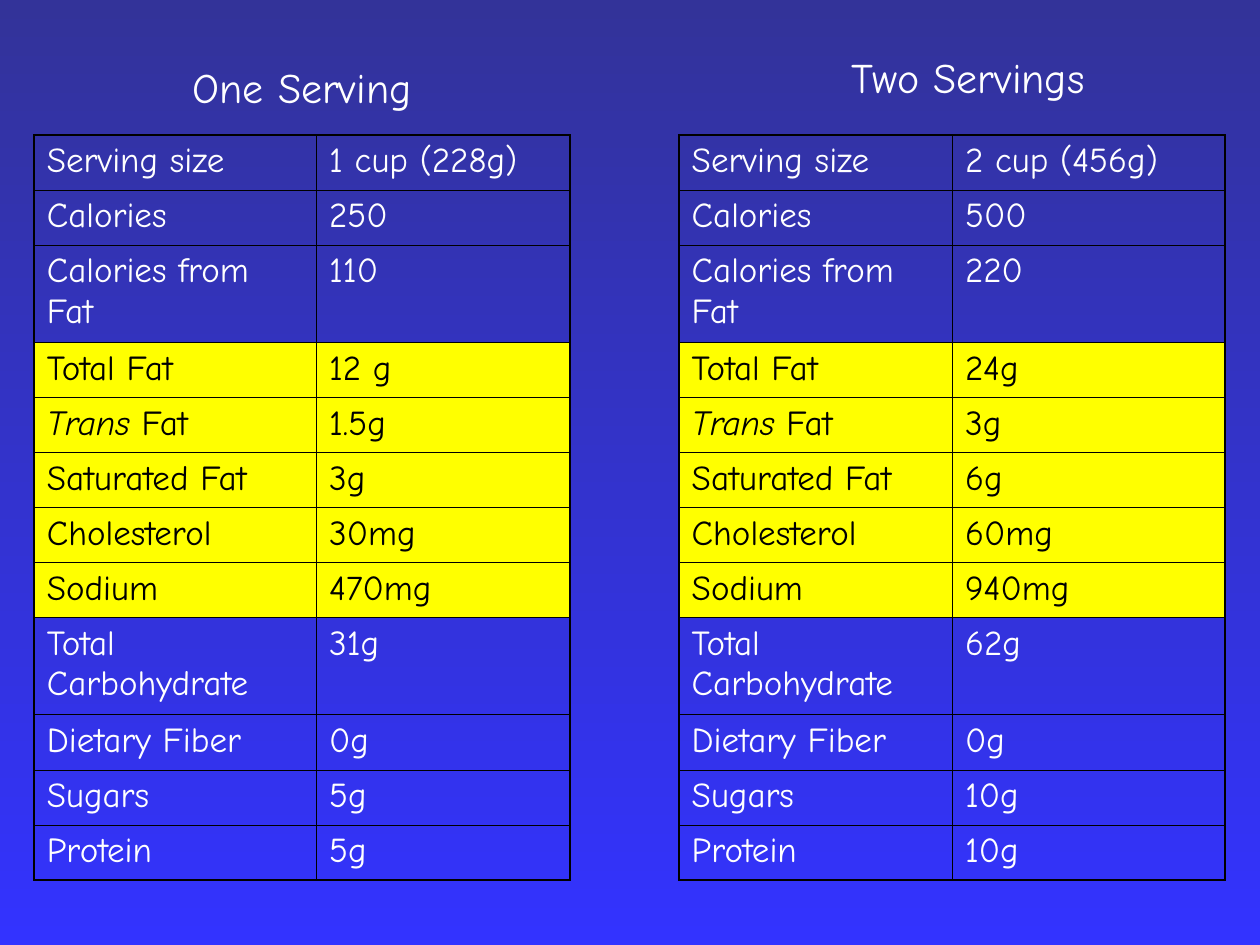
"""Build a slide comparing the nutrition facts of one and two servings."""
import pptx
import pptx.dml.color
import pptx.enum.text
import pptx.util
from lxml import etree
from pptx.oxml.ns import qn

Cm, Pt = pptx.util.Cm, pptx.util.Pt

FONT = "Comic Neue"
WHITE, BLACK, YELLOW = "FFFFFF", "000000", "FFFF00"
GRADIENT = ["333399", "3333FF"]

NUTRIENTS = [
    ("Serving size", "1 cup (228g)", "2 cup (456g)"),
    ("Calories", "250", "500"),
    ("Calories from Fat", "110", "220"),
    ("Total Fat", "12 g", "24g"),
    ("Trans Fat", "1.5g", "3g"),
    ("Saturated Fat", "3g", "6g"),
    ("Cholesterol", "30mg", "60mg"),
    ("Sodium", "470mg", "940mg"),
    ("Total Carbohydrate", "31g", "62g"),
    ("Dietary Fiber", "0g", "0g"),
    ("Sugars", "5g", "10g"),
    ("Protein", "5g", "10g"),
]
HIGHLIGHTED = {"Total Fat", "Trans Fat", "Saturated Fat", "Cholesterol", "Sodium"}
TWO_LINES = {"Calories from Fat", "Total Carbohydrate"}
ITALIC_WORD = "Trans "

TABLE_TOP, ROW_HEIGHT, TALL_ROW_HEIGHT = 2.72, 1.11, 1.96
THIN, THICK = 0.45, 1.08
SERVINGS = [
    {"heading": "One Serving", "placeholder": 1, "box": (0.69, 1.12, 10.8, 1.27),
     "left": 0.69, "columns": (5.69, 5.11)},
    {"heading": "Two Servings", "placeholder": 3, "box": (14.71, 0.91, 9.6, 1.27),
     "left": 13.69, "columns": (5.51, 5.49)},
]


def rgb(color):
    return pptx.dml.color.RGBColor.from_string(color)


def add_run(paragraph, text, size, color, italic=False):
    run = paragraph.add_run()
    run.text = text
    run.font.name = FONT
    run.font.size = Pt(size)
    run.font.bold = False
    run.font.italic = italic
    run.font.color.rgb = rgb(color)


def add_border(cell, side, width):
    properties = cell._tc.get_or_add_tcPr()
    line = etree.SubElement(properties, qn(f"a:ln{side}"), w=str(Pt(width)))
    fill = etree.SubElement(line, qn("a:solidFill"))
    etree.SubElement(fill, qn("a:srgbClr"), val=BLACK)


def format_cell(cell, text, highlighted, outer_sides):
    for side in "LRTB":
        add_border(cell, side, THICK if side in outer_sides else THIN)
    if highlighted:
        cell.fill.solid()
        cell.fill.fore_color.rgb = rgb(YELLOW)
    else:
        cell.fill.background()
    color = BLACK if highlighted else WHITE
    paragraph = cell.text_frame.paragraphs[0]
    paragraph.space_before = Pt(5)
    if text.startswith(ITALIC_WORD):
        add_run(paragraph, ITALIC_WORD, 20, color, italic=True)
        text = text.removeprefix(ITALIC_WORD)
    add_run(paragraph, text, 20, color)


def add_facts_table(slide, serving, value_index):
    heights = [TALL_ROW_HEIGHT if name in TWO_LINES else ROW_HEIGHT
               for name, *_ in NUTRIENTS]
    table = slide.shapes.add_table(
        len(NUTRIENTS), 2, Cm(serving["left"]), Cm(TABLE_TOP),
        Cm(sum(serving["columns"])), Cm(sum(heights))).table
    table.first_row = table.horz_banding = False
    for column, width in zip(table.columns, serving["columns"]):
        column.width = Cm(width)
    for row_index, (facts, height) in enumerate(zip(NUTRIENTS, heights)):
        table.rows[row_index].height = Cm(height)
        edge = {0: "T", len(NUTRIENTS) - 1: "B"}.get(row_index, "")
        for column_index, text in enumerate((facts[0], facts[value_index])):
            format_cell(table.cell(row_index, column_index), text,
                        facts[0] in HIGHLIGHTED, "LR"[column_index] + edge)


def fill_heading(shape, serving):
    shape.left, shape.top, shape.width, shape.height = map(Cm, serving["box"])
    frame = shape.text_frame
    frame.word_wrap = True
    frame.auto_size = pptx.enum.text.MSO_AUTO_SIZE.SHAPE_TO_FIT_TEXT
    frame.vertical_anchor = pptx.enum.text.MSO_ANCHOR.TOP
    paragraph = frame.paragraphs[0]
    paragraph.alignment = pptx.enum.text.PP_ALIGN.CENTER
    paragraph.space_before = Pt(15)
    add_run(paragraph, serving["heading"], 24, WHITE)


def main():
    presentation = pptx.Presentation()
    presentation.slide_width, presentation.slide_height = Cm(25.4), Cm(19.05)
    slide = presentation.slides.add_slide(
        presentation.slide_layouts.get_by_name("Comparison"))

    background = slide.background.fill
    background.gradient()
    background.gradient_angle = 270
    for stop, color in zip(background.gradient_stops, GRADIENT):
        stop.color.rgb = rgb(color)

    headings = {serving["placeholder"]: serving for serving in SERVINGS}
    for shape in list(slide.placeholders):
        index = shape.placeholder_format.idx
        if index in headings:
            fill_heading(shape, headings[index])
        else:
            shape.element.getparent().remove(shape.element)
    for value_index, serving in enumerate(SERVINGS, start=1):
        add_facts_table(slide, serving, value_index)

    presentation.save("out.pptx")


if __name__ == "__main__":
    main()
